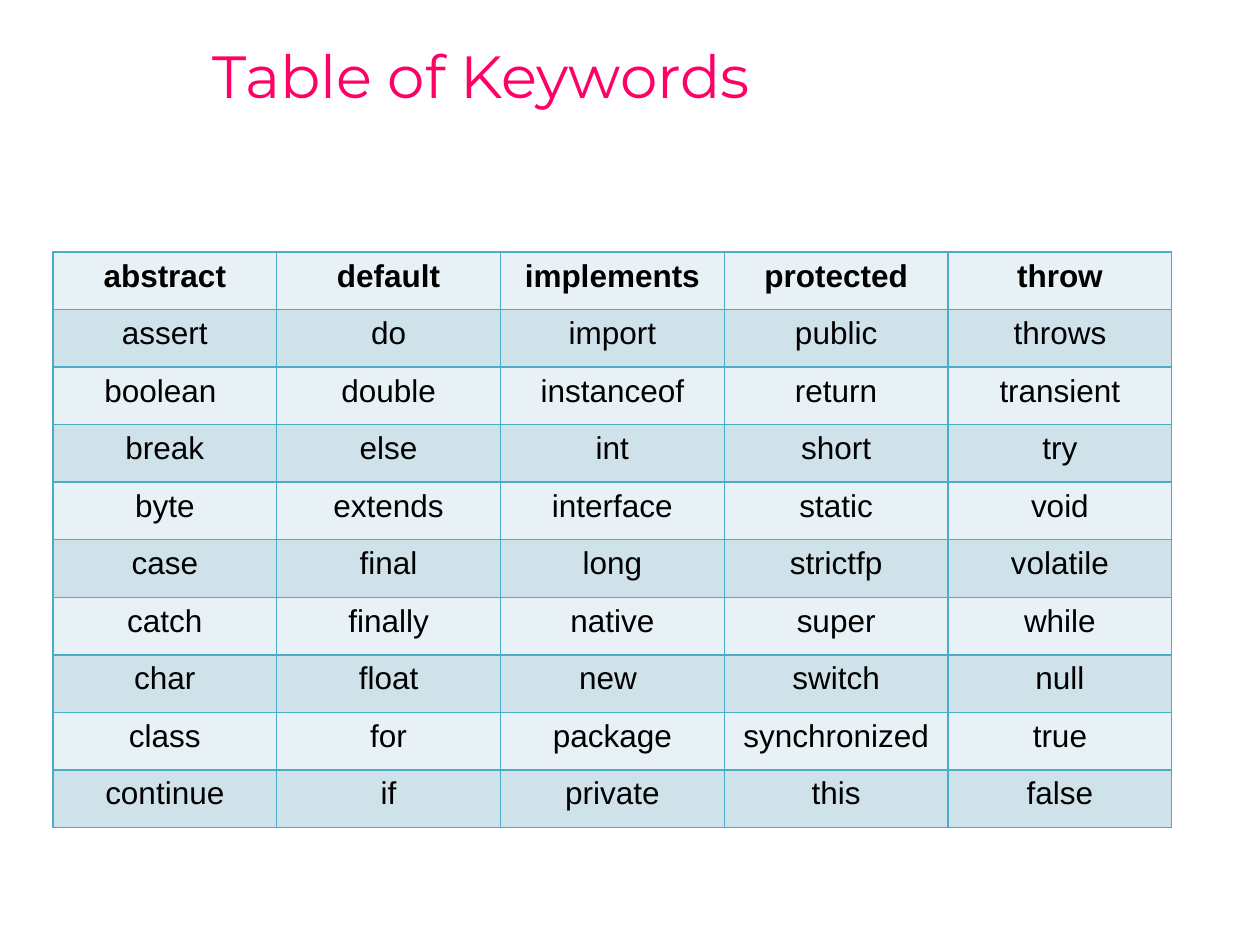
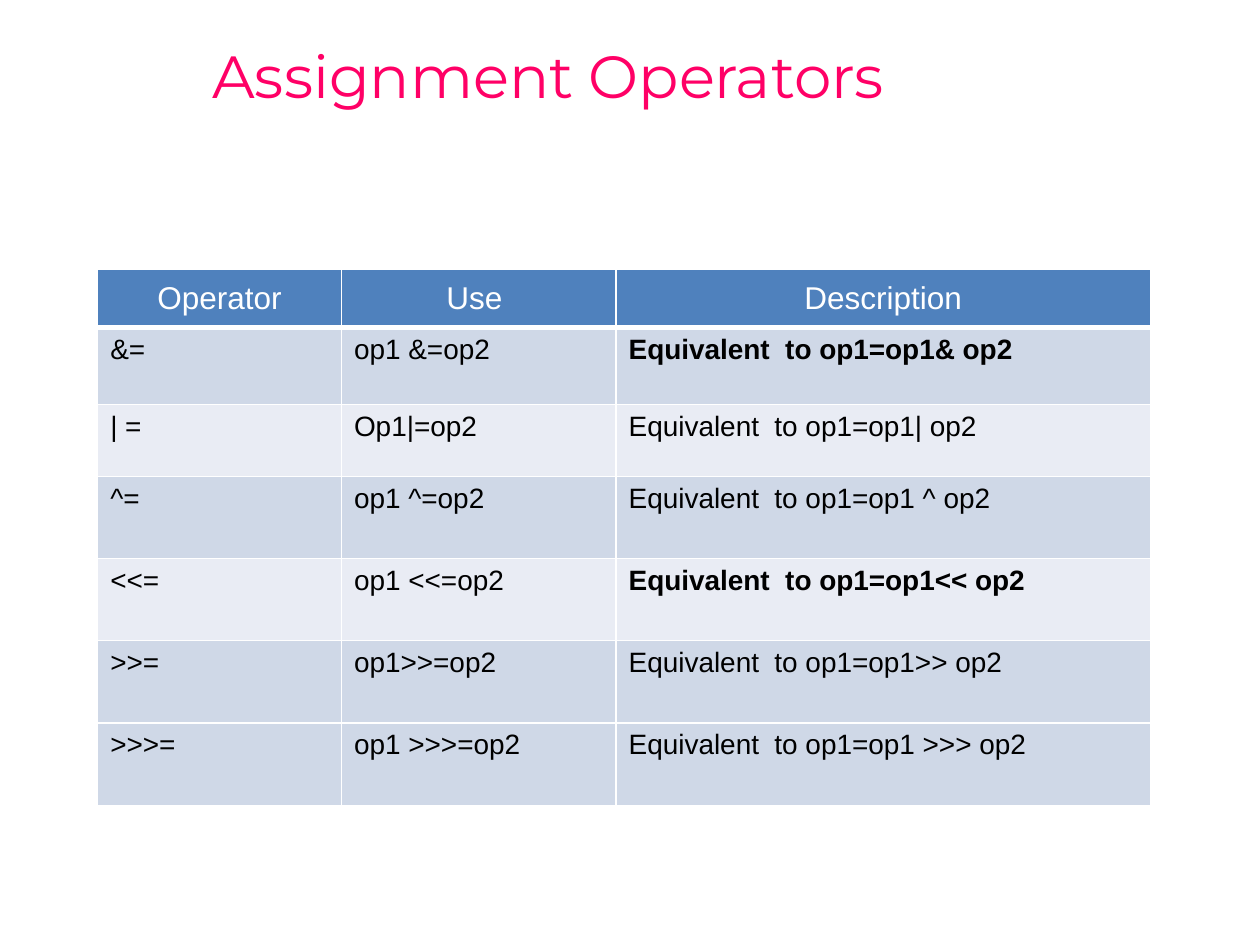
"""Builds two Java reference slides: the keyword table and the assignment operators."""
from lxml import etree
from pptx import Presentation
from pptx.dml.color import RGBColor
from pptx.enum.text import MSO_ANCHOR, PP_ALIGN
from pptx.oxml.ns import qn
from pptx.util import Inches, Pt

MIDDLE, TOP = MSO_ANCHOR.MIDDLE, MSO_ANCHOR.TOP
CENTER, LEFT = PP_ALIGN.CENTER, PP_ALIGN.LEFT

COLORS = {
    "title": "FF0066",
    "text": "000000",
    "white": "FFFFFF",
    "teal_line": "4BACC6",
    "teal_light": "E8F1F5",
    "teal_dark": "CFE2EA",
    "header": "4F81BD",
    "blue_light": "E9ECF4",
    "blue_dark": "CFD8E7",
}
COLUMNS, ROWS = 100, 75
THIN, THICK = 0.91, 2.95

KEYWORDS = [
    "abstract default implements protected throw".split(),
    "assert do import public throws".split(),
    ["boolean ", "double", "instanceof", "return", "transient"],
    "break else int short try".split(),
    "byte extends interface static void".split(),
    "case final long strictfp volatile".split(),
    "catch finally native super while".split(),
    ["char", "float", "new ", "switch", "null"],
    "class for package synchronized true".split(),
    "continue if private this false".split(),
]

OPERATORS = [
    ("&=", "op1 &=op2", "Equivalent  to op1=op1& op2"),
    ("| =", "Op1|=op2", "Equivalent  to op1=op1| op2"),
    ("^=", "op1 ^=op2", "Equivalent  to op1=op1 ^ op2"),
    ("<<=", "op1 <<=op2", "Equivalent  to op1=op1<< op2"),
    (">>=", "op1>>=op2", "Equivalent  to op1=op1>> op2"),
    (">>>=", "op1 >>>=op2", "Equivalent  to op1=op1 >>> op2"),
]
BOLD_OPERATORS = ("&=", "<<=")


class Deck:
    """Holds the shared style and the current slide."""

    def __init__(self):
        self.presentation = Presentation()
        self.presentation.slide_width = Inches(10)
        self.presentation.slide_height = Inches(7.5)
        self.slide = None

    def across(self, columns):
        return round(self.presentation.slide_width * columns / COLUMNS)

    def down(self, rows):
        return round(self.presentation.slide_height * rows / ROWS)

    def add_slide(self, title):
        self.slide = self.presentation.slides.add_slide(self.presentation.slide_layouts[6])
        shape = self.slide.shapes.add_textbox(
            self.across(15.9), self.down(0.1), self.across(84.1), self.down(12.4))
        frame = shape.text_frame
        frame.word_wrap = True
        frame.vertical_anchor = MIDDLE
        paragraph = frame.paragraphs[0]
        paragraph.line_spacing = 0.9
        self.add_run(paragraph, title, 34, "title", font="Montserrat")

    def add_run(self, paragraph, text, size, color, bold=False, font="Arial"):
        run = paragraph.add_run()
        run.text = text
        run.font.name = font
        run.font.size = Pt(size)
        run.font.bold = bold
        run.font.color.rgb = RGBColor.from_string(COLORS[color])

    def add_table(self, left, top, widths, heights):
        table = self.slide.shapes.add_table(
            len(heights), len(widths), self.across(left), self.down(top),
            self.across(sum(widths)), self.down(sum(heights))).table
        table.first_row = table.horz_banding = False
        for column, width in zip(table.columns, widths):
            column.width = self.across(width)
        for row, height in zip(table.rows, heights):
            row.height = self.down(height)
        return table

    def add_border(self, cell, side, color, width):
        line = etree.SubElement(cell._tc.get_or_add_tcPr(), qn(f"a:ln{side}"), w=str(Pt(width)))
        fill = etree.SubElement(line, qn("a:solidFill"))
        etree.SubElement(fill, qn("a:srgbClr"), val=COLORS[color])

    def fill_cell(self, cell, text, fill, line, size=18, color="text", bold=False,
                  align=CENTER, anchor=TOP, top_line=THIN, bottom_line=THIN):
        borders = {"L": THIN, "R": THIN, "T": top_line, "B": bottom_line}
        for side, width in borders.items():
            self.add_border(cell, side, line, width)
        cell.fill.solid()
        cell.fill.fore_color.rgb = RGBColor.from_string(COLORS[fill])
        cell.margin_left = cell.margin_right = Inches(0.1)
        cell.margin_top, cell.margin_bottom = Inches(0.07), Inches(0.05)
        cell.vertical_anchor = anchor
        paragraph = cell.text_frame.paragraphs[0]
        paragraph.alignment = align
        paragraph.line_spacing = 0.93
        self.add_run(paragraph, text, size, color, bold)


def build_keywords(deck):
    deck.add_slide("Table of Keywords")
    table = deck.add_table(4.2, 20, [17.76] * 5, [4.57] * len(KEYWORDS))
    for row, words in enumerate(KEYWORDS):
        fill = "teal_dark" if row % 2 else "teal_light"
        for column, word in enumerate(words):
            deck.fill_cell(table.cell(row, column), word, fill, "teal_line", bold=row == 0)


def build_operators(deck):
    deck.add_slide("Assignment Operators")
    table = deck.add_table(7.75, 21.4, [19.35, 21.8, 42.4], [4.6, 6.1, 5.7] + [6.53] * 4)
    for column, heading in enumerate(["Operator", "Use ", "Description"]):
        deck.fill_cell(table.cell(0, column), heading, "header", "white", color="white",
                       anchor=MIDDLE, bottom_line=THICK)
    fills = ["blue_dark", "blue_light"] * 2 + ["blue_dark"] * 2
    for row, (texts, fill) in enumerate(zip(OPERATORS, fills), start=1):
        for column, text in enumerate(texts):
            bold = column == 2 and texts[0] in BOLD_OPERATORS
            deck.fill_cell(table.cell(row, column), text, fill, "white", size=16, bold=bold,
                           align=LEFT, top_line=THICK if row == 1 else THIN)


deck = Deck()
build_keywords(deck)
build_operators(deck)
deck.presentation.save("out.pptx")
